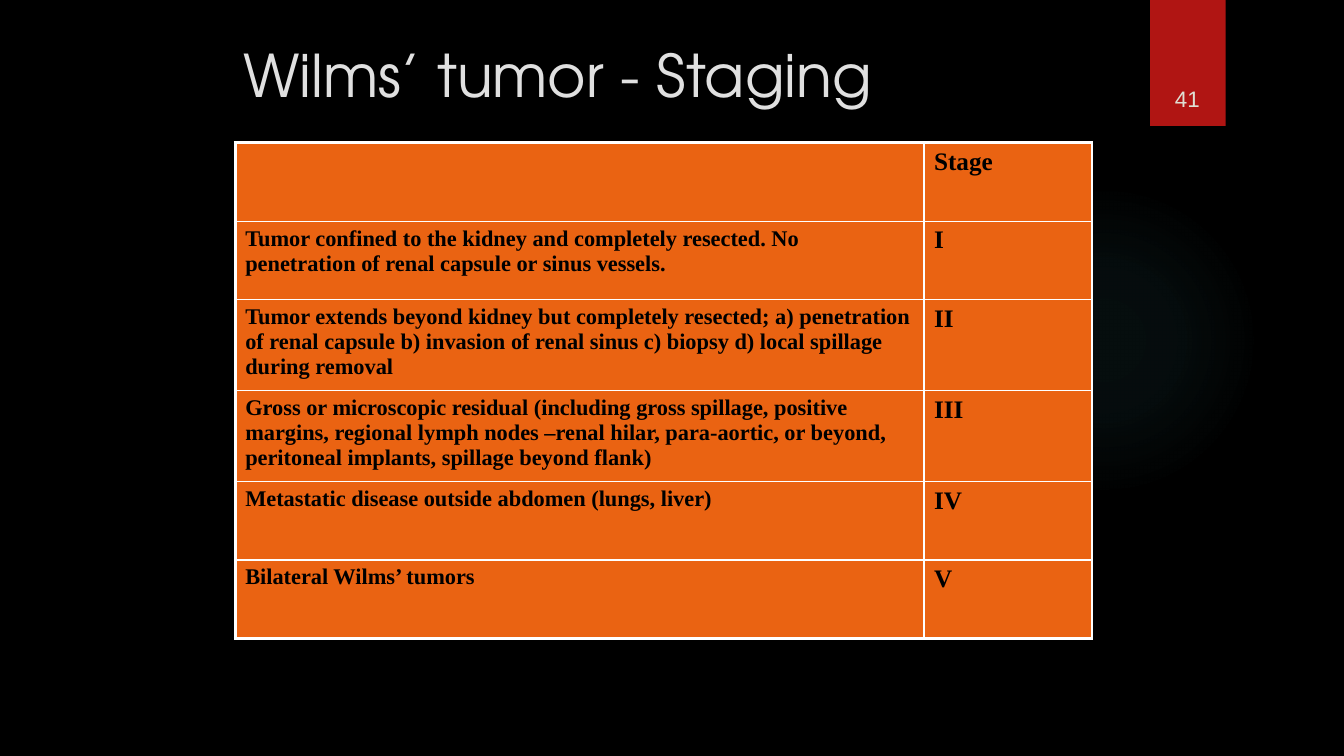
"""Build the Wilms' tumor staging slide."""
from pptx import Presentation
from pptx.dml.color import RGBColor
from pptx.enum.shapes import MSO_SHAPE
from pptx.enum.text import MSO_ANCHOR, PP_ALIGN
from pptx.oxml import parse_xml
from pptx.oxml.ns import nsdecls
from pptx.util import Pt

RECT, OVAL = MSO_SHAPE.RECTANGLE, MSO_SHAPE.OVAL
TOP, BOTTOM = MSO_ANCHOR.TOP, MSO_ANCHOR.BOTTOM
LEFT, CENTER = PP_ALIGN.LEFT, PP_ALIGN.CENTER

TITLE = "Wilms’ tumor - Staging"
PAGE = "41"
STAGES = [
    ("", "Stage"),
    ("Tumor confined to the kidney and completely resected. No penetration of "
     "renal capsule or sinus vessels.", "I"),
    ("Tumor extends beyond kidney but completely resected; a) penetration of renal "
     "capsule b) invasion of renal sinus c) biopsy d) local spillage during removal", "II"),
    ("Gross or microscopic residual (including gross spillage, positive margins, "
     "regional lymph nodes –renal hilar, para-aortic, or beyond, peritoneal implants, "
     "spillage beyond flank)", "III"),
    ("Metastatic disease outside abdomen (lungs, liver)", "IV"),
    ("Bilateral Wilms’ tumors", "V"),
]
COL_WIDTHS = [492, 120]
ROW_HEIGHTS = [56, 56, 65, 65, 56, 56]
COL_SIZES = [16, 18]
GLOW_STOPS = [(0, 7), (36, 6), (69, 0)]

TITLE_FONT = {"name": "TeX Gyre Adventor", "size": Pt(42), "bold": False}
PAGE_FONT = {"name": "Arial", "size": Pt(16)}
CELL_FONT = {"name": "Times New Roman", "bold": True}


def color(value):
    return RGBColor.from_string(value)


def fill(target, value):
    target.fill.solid()
    target.fill.fore_color.rgb = color(value)


def write(tf, text, font, value, align=LEFT):
    p = tf.paragraphs[0]
    p.alignment = align
    r = p.add_run()
    r.text = text
    for key, val in font.items():
        setattr(r.font, key, val)
    r.font.color.rgb = color(value)
    return p


def add_plain(s, kind, *box):
    sp = s.shapes.add_shape(kind, *map(Pt, box))
    sp.shadow.inherit = False
    sp.line.fill.background()
    return sp


def add_glow(s):
    sp = add_plain(s, OVAL, 677.5, 131.8, 221.8, 221.8)
    stops = "".join(
        f'<a:gs pos="{pos * 1000}"><a:srgbClr val="50B9C1">'
        f'<a:alpha val="{alpha * 1000}"/></a:srgbClr></a:gs>'
        for pos, alpha in GLOW_STOPS)
    sp.fill.background()
    sp_pr = sp._element.spPr
    old = sp_pr.find("{*}noFill")
    sp_pr.replace(old, parse_xml(
        f'<a:gradFill {nsdecls("a")}><a:gsLst>{stops}</a:gsLst><a:path path="circle">'
        '<a:fillToRect l="50000" t="50000" r="50000" b="50000"/></a:path></a:gradFill>'))


def add_tab(s):
    sp = add_plain(s, RECT, 821.5, 0, 54, 90)
    fill(sp, "B01513")
    sp._element.spPr.find("{*}effectLst").append(parse_xml(
        f'<a:outerShdw {nsdecls("a")} blurRad="{Pt(3)}" dist="{Pt(2)}" dir="5400000">'
        '<a:srgbClr val="000000"><a:alpha val="45000"/></a:srgbClr></a:outerShdw>'))


def add_borders(cell, outer):
    tc_pr = cell._tc.get_or_add_tcPr()
    for side, is_outer in zip("LRTB", outer):
        width = Pt(2.25 if is_outer else 1)
        tc_pr.append(parse_xml(
            f'<a:ln{side} {nsdecls("a")} w="{width}"><a:solidFill>'
            f'<a:srgbClr val="FFFFFF"/></a:solidFill></a:ln{side}>'))


def add_stage_table(s):
    rows, cols = len(STAGES), len(COL_WIDTHS)
    table = s.shapes.add_table(rows, cols, Pt(168), Pt(102), Pt(sum(COL_WIDTHS)),
                               Pt(sum(ROW_HEIGHTS))).table
    for column, width in zip(table.columns, COL_WIDTHS):
        column.width = Pt(width)
    for row, height in zip(table.rows, ROW_HEIGHTS):
        row.height = Pt(height)
    for i, stage in enumerate(STAGES):
        for j, text in enumerate(stage):
            cell = table.cell(i, j)
            add_borders(cell, (j == 0, j == cols - 1, i == 0, i == rows - 1))
            fill(cell, "EA6312")
            if text:
                write(cell.text_frame, text, {**CELL_FONT, "size": Pt(COL_SIZES[j])}, "000000")


def add_title(s):
    sp = s.shapes.title
    sp.left, sp.top, sp.width, sp.height = map(Pt, (162, 24, 612, 90))
    tf = sp.text_frame
    tf.vertical_anchor = TOP
    p = write(tf, TITLE, TITLE_FONT, "E0E0E0")
    p_pr = p._p.get_or_add_pPr()
    p_pr.set("marL", str(Pt(4.5)))
    p_pr.set("indent", "0")


def add_page_number(s):
    sp = s.shapes.add_textbox(*map(Pt, (815, 23, 66.2, 60.5)))
    tf = sp.text_frame
    tf.word_wrap = True
    tf.vertical_anchor = BOTTOM
    write(tf, PAGE, PAGE_FONT, "DFE0D4", CENTER)


def main():
    prs = Presentation()
    prs.slide_width, prs.slide_height = Pt(960), Pt(540)
    s = prs.slides.add_slide(prs.slide_layouts[5])
    fill(s.background, "000000")
    add_glow(s)
    add_tab(s)
    add_title(s)
    add_stage_table(s)
    add_page_number(s)
    prs.save("out.pptx")


if __name__ == "__main__":
    main()
